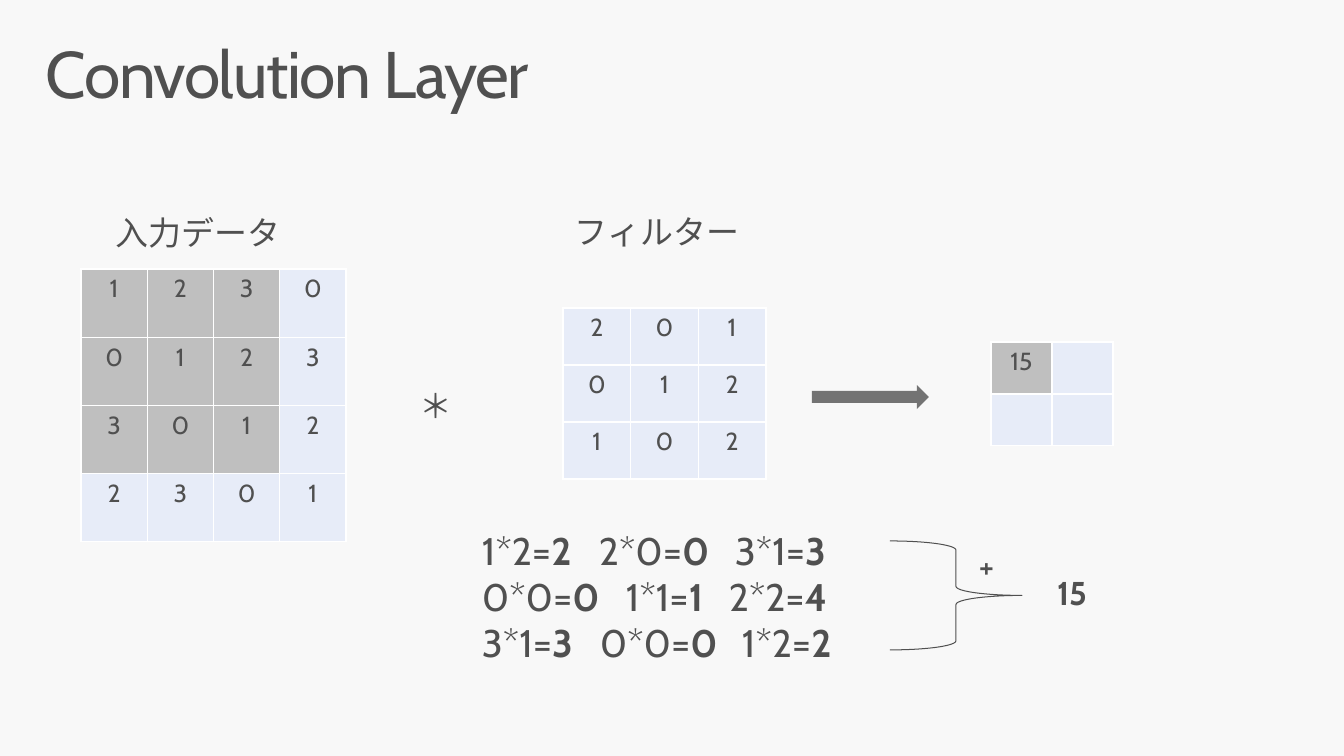
"""Build a slide that shows one step of a convolution layer."""
from dataclasses import dataclass

from lxml import etree
from pptx import Presentation
from pptx.dml.color import RGBColor
from pptx.enum.shapes import MSO_SHAPE
from pptx.enum.text import MSO_ANCHOR, MSO_AUTO_SIZE, PP_ALIGN
from pptx.oxml.ns import qn
from pptx.util import Emu, Pt

RIGHT_ARROW, RIGHT_BRACE = MSO_SHAPE.RIGHT_ARROW, MSO_SHAPE.RIGHT_BRACE
TOP = MSO_ANCHOR.TOP
NO_FIT, GROW = MSO_AUTO_SIZE.NONE, MSO_AUTO_SIZE.SHAPE_TO_FIT_TEXT
LEFT, CENTER = PP_ALIGN.LEFT, PP_ALIGN.CENTER

EMU_PER_PX = 9255
FONT = "Cabin"
INK, PAPER, WHITE = "505050", "F8F8F8", "FFFFFF"
ACTIVE, IDLE, ARROW = "BFBFBF", "E7ECF8", "737373"

INPUT = [[1, 2, 3, 0], [0, 1, 2, 3], [3, 0, 1, 2], [2, 3, 0, 1]]
FILTER = [[2, 0, 1], [0, 1, 2], [1, 0, 2]]
OUTPUT = [[15, ""], ["", ""]]
PRODUCT_TABS = [(117, 253), (144, 247), (118, 260)]


@dataclass(frozen=True)
class Box:
    left: int
    top: int
    width: int
    height: int

    def emu(self) -> tuple:
        return tuple(px(n) for n in (self.left, self.top, self.width, self.height))


@dataclass(frozen=True)
class Matrix:
    box: Box
    values: list
    active: int


@dataclass(frozen=True)
class Label:
    box: Box
    text: str
    bold: bool = False


MATRICES = [
    Matrix(Box(81, 269, 265, 273), INPUT, 3),
    Matrix(Box(563, 308, 203, 171), FILTER, 0),
    Matrix(Box(991, 342, 122, 104), OUTPUT, 1),
]
LABELS = [
    Label(Box(399, 374, 78, 69), "＊"),
    Label(Box(96, 201, 217, 69), "入力データ"),
    Label(Box(555, 200, 210, 69), "フィルター"),
    Label(Box(1037, 561, 92, 70), "15", True),
    Label(Box(959, 534, 70, 68), "+"),
]


def px(length: float) -> Emu:
    return Emu(round(length * EMU_PER_PX))


def color(hex_code: str) -> RGBColor:
    return RGBColor.from_string(hex_code)


def paint(fill, hex_code: str) -> None:
    fill.solid()
    fill.fore_color.rgb = color(hex_code)


def add_run(paragraph, text: str, size: int, bold: bool = False):
    run = paragraph.add_run()
    run.text = text
    run.font.name, run.font.size, run.font.bold = FONT, Pt(size), bold
    run.font.color.rgb = color(INK)
    return run


def set_frame(frame, inset_x: int, inset_y: int, fit) -> None:
    frame.word_wrap = True
    frame.auto_size = fit
    frame.vertical_anchor = TOP
    frame.margin_left = frame.margin_right = px(inset_x)
    frame.margin_top = frame.margin_bottom = px(inset_y)


def add_frame(slide, box: Box):
    frame = slide.shapes.add_textbox(*box.emu()).text_frame
    set_frame(frame, 20, 16, GROW)
    return frame


def set_title(slide, text: str) -> None:
    title = slide.shapes.title
    title.left, title.top, title.width, title.height = Box(30, 32, 1284, 99).emu()
    set_frame(title.text_frame, 16, 10, NO_FIT)
    paragraph = title.text_frame.paragraphs[0]
    paragraph.alignment, paragraph.line_spacing = LEFT, 0.9
    add_run(paragraph, text, 48)._r.get_or_add_rPr().set("spc", "-100")


def add_borders(cell) -> None:
    properties = cell._tc.get_or_add_tcPr()
    for index, side in enumerate(("a:lnL", "a:lnR", "a:lnT", "a:lnB")):
        border = etree.Element(qn(side), w=str(Pt(1)))
        solid = etree.SubElement(border, qn("a:solidFill"))
        etree.SubElement(solid, qn("a:srgbClr"), val=WHITE)
        properties.insert(index, border)


def add_matrix(slide, matrix: Matrix) -> None:
    rows, columns = len(matrix.values), len(matrix.values[0])
    table = slide.shapes.add_table(rows, columns, *matrix.box.emu()).table
    table.first_row = table.horz_banding = False
    for r, values in enumerate(matrix.values):
        for c, value in enumerate(values):
            cell = table.cell(r, c)
            paint(cell.fill, ACTIVE if max(r, c) < matrix.active else IDLE)
            add_borders(cell)
            paragraph = cell.text_frame.paragraphs[0]
            paragraph.alignment = CENTER
            if value != "":
                add_run(paragraph, str(value), 18)


def add_label(slide, label: Label) -> None:
    paragraph = add_frame(slide, label.box).paragraphs[0]
    paragraph.line_spacing, paragraph.space_after = 0.9, Pt(6)
    add_run(paragraph, label.text, 24, label.bold)


def add_products(slide, box: Box) -> None:
    frame = add_frame(slide, box)
    for r, (inputs, weights, tabs) in enumerate(zip(INPUT, FILTER, PRODUCT_TABS)):
        paragraph = frame.add_paragraph() if r else frame.paragraphs[0]
        stops = etree.SubElement(paragraph._p.get_or_add_pPr(), qn("a:tabLst"))
        for tab in tabs:
            etree.SubElement(stops, qn("a:tab"), pos=str(px(tab)), algn="l")
        for c, (value, weight) in enumerate(zip(inputs, weights)):
            gap = "\t" if c else ""
            add_run(paragraph, f"{gap}{value}*{weight}=", 28)
            add_run(paragraph, str(value * weight), 28, True)


def add_symbol(slide, kind, box: Box):
    symbol = slide.shapes.add_shape(kind, *box.emu())
    symbol.shadow.inherit = False
    return symbol


def main() -> None:
    deck = Presentation()
    deck.slide_width, deck.slide_height = px(1344), px(756)
    slide = deck.slides.add_slide(deck.slide_layouts[5])
    paint(slide.background.fill, PAPER)
    set_title(slide, "Convolution Layer")
    for matrix in MATRICES:
        add_matrix(slide, matrix)
    arrow = add_symbol(slide, RIGHT_ARROW, Box(812, 385, 117, 24))
    paint(arrow.fill, ARROW)
    arrow.line.fill.background()
    add_products(slide, Box(462, 511, 591, 172))
    brace = add_symbol(slide, RIGHT_BRACE, Box(890, 541, 132, 109))
    brace.fill.background()
    brace.line.color.rgb = color(INK)
    brace.line.width = Pt(0.75)
    for label in LABELS:
        add_label(slide, label)
    deck.save("out.pptx")


if __name__ == "__main__":
    main()
